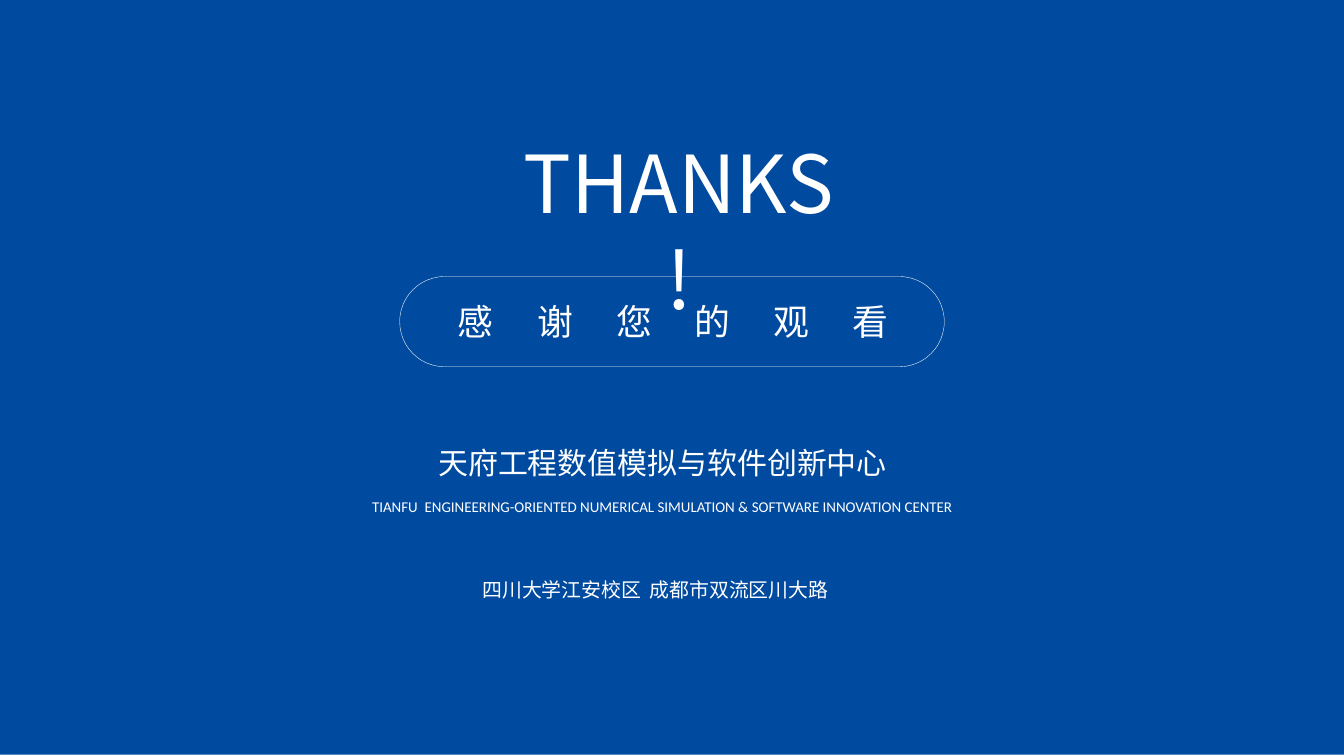
from pptx import Presentation
from pptx.dml.color import RGBColor
from pptx.enum.shapes import MSO_SHAPE as Shape
from pptx.enum.text import MSO_ANCHOR as Anchor, MSO_AUTO_SIZE as AutoSize, PP_ALIGN as Align
from pptx.oxml.ns import qn
from pptx.util import Pt
from lxml.etree import SubElement

COLORS = {"blue": "004A9F", "white": "FFFFFF"}
CJK_FONT = "Noto Sans CJK SC"
LATIN_FONT = "Calibri"


def color(name):
    """Return the named colour."""
    return RGBColor.from_string(COLORS[name])


def add_panel(page, kind, left, top, width, height, fill=None, line=None):
    """Add a flat shape with an optional fill and thin outline."""
    panel = page.shapes.add_shape(kind, Pt(left), Pt(top), Pt(width), Pt(height))
    panel.shadow.inherit = False
    for part, name in ((panel.fill, fill), (panel.line.fill, line)):
        if name:
            part.solid()
            part.fore_color.rgb = color(name)
        else:
            part.background()
    if line:
        panel.line.width = Pt(0.25)
    return panel


def place(box, left, top, width, height):
    """Position a text shape and make its text wrap from the top."""
    box.left, box.top, box.width, box.height = Pt(left), Pt(top), Pt(width), Pt(height)
    frame = box.text_frame
    frame.word_wrap = True
    frame.auto_size = AutoSize.SHAPE_TO_FIT_TEXT
    frame.vertical_anchor = Anchor.TOP
    return frame


def add_text(page, text, left, top, width, height):
    """Add a text box and return its frame."""
    frame = place(page.shapes.add_textbox(0, 0, 0, 0), left, top, width, height)
    frame.text = text
    return frame


def style(span, size, font=CJK_FONT):
    """Format a run in white, for Latin and East Asian letters."""
    span.font.size = Pt(size)
    span.font.name = font
    span.font.color.rgb = color("white")
    SubElement(span.font._element, qn("a:ea")).set("typeface", font)


def add_tabs(para, first, step, count):
    """Give a paragraph evenly spaced left tab stops."""
    tabs = SubElement(para._p.get_or_add_pPr(), qn("a:tabLst"))
    for index in range(count):
        tab = SubElement(tabs, qn("a:tab"))
        tab.set("pos", str(Pt(first + index * step)))
        tab.set("algn", "l")


def add_title(page):
    """Write the closing word in the title placeholder."""
    title = page.shapes.title
    page.shapes._spTree.append(title._element)
    frame = place(title, 358, 92, 254, 76.5)
    frame.text = "THANKS!"
    para = frame.paragraphs[0]
    para.alignment = Align.CENTER
    style(para.runs[0], 57)


def add_thanks(page):
    """Write the spaced line of thanks inside the pill."""
    frame = add_text(page, "感\t谢\t您\t的\t观\t看", 325.5, 212.5, 316, 32.5)
    frame.margin_left = frame.margin_right = frame.margin_bottom = 0
    frame.margin_top = Pt(1.5)
    para = frame.paragraphs[0]
    para._p.get_or_add_pPr().set("marL", str(Pt(1.5)))
    add_tabs(para, 57, 56.2, 5)
    for span in para.runs:
        style(span, 25.6)
        span.font._element.set("spc", "40")


def add_center_name(page):
    """Write the centre's name in Chinese and English."""
    frame = add_text(page, "天府工程数值模拟与软件创新中心", 204.5, 314, 534, 60.5)
    style(frame.paragraphs[0].runs[0], 21.4)
    english = frame.add_paragraph()
    english.space_before = Pt(1.8)
    words = (
        ("TIANFU", 10.7),
        (" ", 21.4),
        ("ENGINEERING-ORIENTED NUMERICAL SIMULATION & SOFTWARE INNOVATION CENTER", 10.7),
    )
    for text, size in words:
        span = english.add_run()
        span.text = text
        style(span, size, LATIN_FONT)
    for para in frame.paragraphs:
        para.alignment = Align.CENTER
        para._p.get_or_add_pPr().set("marL", str(Pt(3.6)))


def add_address(page):
    """Write the address line."""
    frame = add_text(page, "四川大学江安校区  成都市双流区川大路", 337.5, 402, 274.5, 33)
    frame.margin_top = Pt(10.7)
    style(frame.paragraphs[0].runs[0], 14.2)


def main():
    """Build the closing slide."""
    deck = Presentation()
    deck.slide_width, deck.slide_height = Pt(960), Pt(540)
    page = deck.slides.add_slide(deck.slide_layouts[5])
    add_panel(page, Shape.RECTANGLE, 0, 0, 960, 539, fill="blue")
    pill = add_panel(page, Shape.ROUNDED_RECTANGLE, 285.5, 197.5, 389, 64.5, line="white")
    pill.adjustments[0] = 0.5
    add_thanks(page)
    add_title(page)
    add_address(page)
    add_center_name(page)
    deck.save("out.pptx")


if __name__ == "__main__":
    main()
